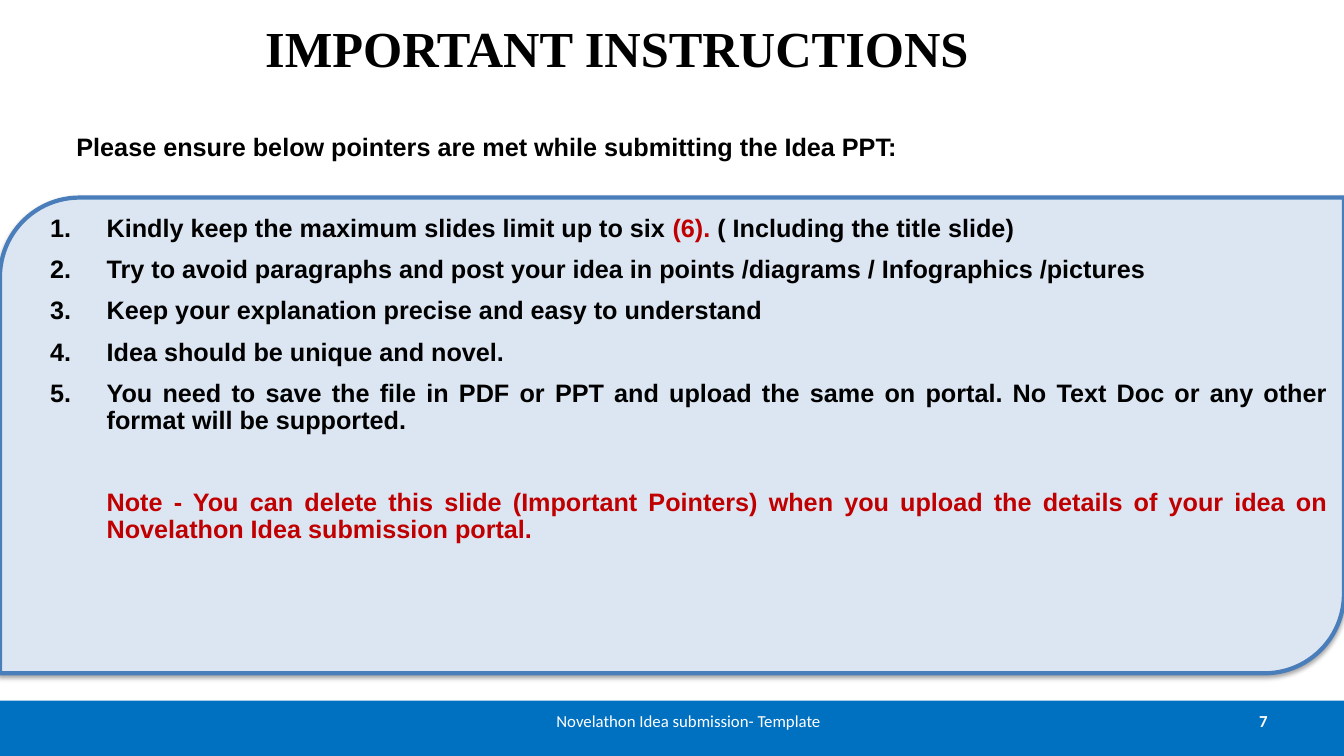
from lxml import etree
from pptx import Presentation
from pptx.dml.color import RGBColor
from pptx.enum.shapes import MSO_SHAPE
from pptx.enum.text import MSO_ANCHOR, PP_ALIGN
from pptx.oxml.ns import qn
from pptx.util import Inches, Pt

RECT, PANEL = MSO_SHAPE.RECTANGLE, MSO_SHAPE.ROUND_2_DIAG_RECTANGLE
TOP, MIDDLE = MSO_ANCHOR.TOP, MSO_ANCHOR.MIDDLE
CENTER, RIGHT, JUSTIFY = PP_ALIGN.CENTER, PP_ALIGN.RIGHT, PP_ALIGN.JUSTIFY

COLORS = {"black": "000000", "red": "C00000", "white": "FFFFFF",
          "bar": "0070C0", "panel": "DCE6F2", "border": "4A7EBB"}

# Content
TITLE = "IMPORTANT INSTRUCTIONS"
INTRO = "Please ensure below pointers are met while submitting the Idea PPT:"
POINTERS = [
    [("Kindly keep the maximum slides limit up to six ", "black"),
     ("(6). ", "red"), ("( Including the title slide) ", "black")],
    [("Try to avoid paragraphs and post your idea in points /diagrams / "
      "Infographics /pictures ", "black")],
    [("Keep your explanation precise and easy to understand", "black")],
    [("Idea should be unique and novel. ", "black")],
    [("You need to save the file in PDF or PPT and upload the same on portal. "
      "No Text Doc or any other format will be supported.", "black")],
]
NOTE = [("Note - You can delete this slide (Important Pointers) when you upload "
         "the details of your idea on Novelathon Idea submission portal.", "red")]
FOOTER = [  # text, left, width, alignment, bold
    ("Novelathon Idea submission- Template", 5.08, 3.5, CENTER, False),
    ("7", 9.56, 3.11, RIGHT, True),
]
INDENT = Inches(0.56)


def rgb(name):
    return RGBColor.from_string(COLORS[name])


def add_run(p, text, color, size=18, font="Arial", bold=True):
    r = p.add_run()
    r.text = text
    r.font.size, r.font.name, r.font.bold = Pt(size), font, bold
    r.font.color.rgb = rgb(color)


def add_box(left, top, width, height, anchor=TOP):
    tf = s.shapes.add_textbox(*map(Inches, (left, top, width, height))).text_frame
    tf.word_wrap = True
    tf.vertical_anchor = anchor
    return tf


def add_panel(kind, box, fill):
    sp = s.shapes.add_shape(kind, *map(Inches, box))
    sp.shadow.inherit = False
    sp.fill.solid()
    sp.fill.fore_color.rgb = rgb(fill)
    sp.line.fill.background()
    return sp


def add_paragraph(tf, index, runs, space_before, numbered):
    p = tf.paragraphs[0] if index == 0 else tf.add_paragraph()
    p.alignment, p.line_spacing, p.space_before = JUSTIFY, 0.9, Pt(space_before)
    pPr = p._p.get_or_add_pPr()
    pPr.set("marL", str(INDENT))
    pPr.set("indent", str(-INDENT if numbered else 0))
    if numbered:
        etree.SubElement(pPr, qn("a:buFont"), typeface="Arial")
        etree.SubElement(pPr, qn("a:buAutoNum"), type="arabicPeriod")
    for text, color in runs:
        add_run(p, text, color)


prs = Presentation()
prs.slide_width, prs.slide_height = Inches(13.33), Inches(7.5)
s = prs.slides.add_slide(prs.slide_layouts[5])

# Title
title = s.shapes.title
title.left, title.top, title.width, title.height = map(Inches, (1.52, 0.12, 9.2, 0.7))
tf = title.text_frame
tf.vertical_anchor = TOP
tf.paragraphs[0].alignment = CENTER
add_run(tf.paragraphs[0], TITLE, "black", 36, "Times New Roman")

# Introduction
p = add_box(0.66, 1.29, 10.45, 0.37).paragraphs[0]
p.alignment, p.line_spacing, p.space_before = JUSTIFY, 0.9, Pt(10)
add_run(p, INTRO, "black")

# Footer bar
add_panel(RECT, (0, 6.95, 13.33, 0.55), "bar")
for text, left, width, align, bold in FOOTER:
    p = add_box(left, 6.95, width, 0.4, MIDDLE).paragraphs[0]
    p.alignment = align
    add_run(p, text, "white", 12, "Calibri", bold)

# Panel with a soft shadow below
panel = add_panel(PANEL, (0, 1.96, 13.33, 4.72), "panel")
panel.adjustments[0] = 0.167
panel.line.color.rgb = rgb("border")
panel.line.width = Pt(3)
effects = panel._element.spPr.find(qn("a:effectLst"))
shadow = etree.SubElement(effects, qn("a:outerShdw"), blurRad=str(Pt(3.1)),
                          dist=str(Pt(1.8)), dir="5400000", rotWithShape="0")
tint = etree.SubElement(shadow, qn("a:srgbClr"), val=COLORS["black"])
etree.SubElement(tint, qn("a:alpha"), val="35000")

# Numbered pointers and the closing note
tf = add_box(0.4, 2.09, 12.87, 4.45)
for i, runs in enumerate(POINTERS):
    add_paragraph(tf, i, runs, 10 if i else 0, True)
add_paragraph(tf, len(POINTERS), NOTE, 39, False)

prs.save("out.pptx")
